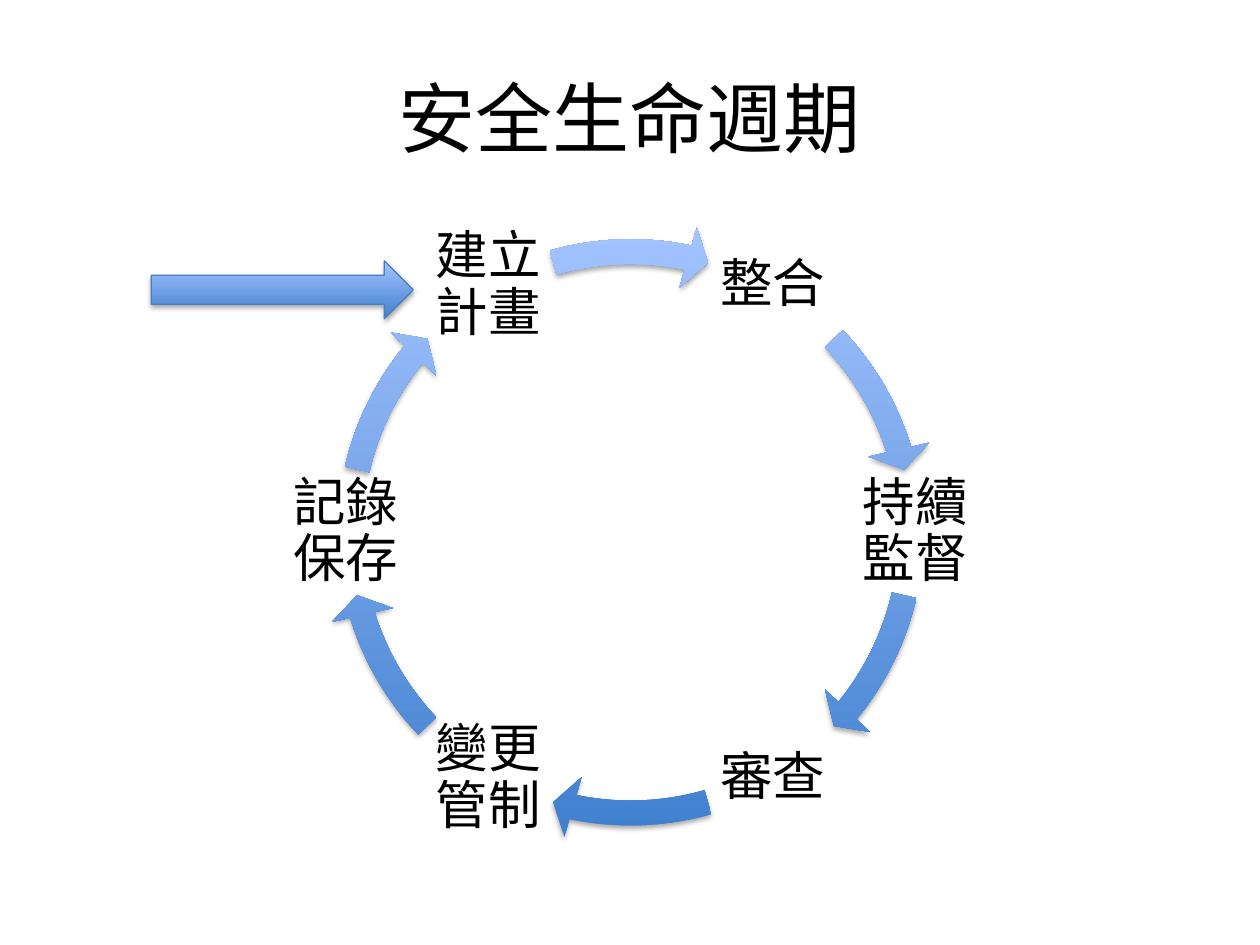
from math import cos, radians, sin

from lxml.etree import SubElement
from pptx import Presentation
from pptx.dml.color import RGBColor
from pptx.enum.shapes import MSO_SHAPE
from pptx.enum.text import MSO_ANCHOR, PP_ALIGN
from pptx.oxml.ns import qn
from pptx.util import Inches, Pt

BLACK = RGBColor(0x00, 0x00, 0x00)
DARK_BLUE = RGBColor(0x3F, 0x7F, 0xCE)
LIGHT_BLUE = RGBColor(0xA4, 0xC4, 0xFF)
OUTLINE_BLUE = RGBColor(0x4B, 0x7E, 0xBC)

STAGES = ["整合", "持續監督", "審查", "變更管制", "記錄保存", "建立計畫"]
# Start and end angles in degrees; the other half of the ring is the same turned by 180.
HALF_RING_SPANS = [(316.41, 342.87), (12.96, 39.42), (73.99, 101.83)]
ADJUSTMENTS_PER_DEGREE = 0.6  # 60000 units a degree, 100000 units to 1.0


def add_text(slide, text, box, size, margin, line_spacing):
    shape = slide.shapes.add_textbox(*map(Inches, box))
    frame = shape.text_frame
    frame_format = {"word_wrap": True, "vertical_anchor": MSO_ANCHOR.MIDDLE}
    for side in ("left", "top", "right", "bottom"):
        frame_format[f"margin_{side}"] = Inches(margin)
    for name, value in frame_format.items():
        setattr(frame, name, value)
    paragraph = frame.paragraphs[0]
    paragraph.alignment = PP_ALIGN.CENTER
    paragraph.line_spacing = line_spacing
    run = paragraph.add_run()
    run.text = text
    for name, value in {"name": "Calibri", "size": Pt(size)}.items():
        setattr(run.font, name, value)
    run.font.color.rgb = BLACK


def add_shadow(shape):
    shape.shadow.inherit = False
    effects = shape.element.spPr.find(qn("a:effectLst"))
    shadow = SubElement(effects, qn("a:outerShdw"), blurRad=str(Pt(3.1)),
                        dist=str(Pt(1.8)), dir="5400000", rotWithShape="0")
    color = SubElement(shadow, qn("a:srgbClr"), val=str(BLACK))
    SubElement(color, qn("a:alpha"), val="35000")


def add_blue_arrow(slide, kind, box):
    """Add a borderless arrow shaded from dark at the bottom to light at the top."""
    arrow = slide.shapes.add_shape(kind, *map(Inches, box))
    arrow.fill.gradient()
    arrow.fill.gradient_angle = 90
    for stop, color in zip(arrow.fill.gradient_stops, (DARK_BLUE, LIGHT_BLUE)):
        stop.color.rgb = color
    arrow.line.fill.background()
    add_shadow(arrow)
    return arrow


def add_cycle(slide, box):
    """Place the stages every 60 degrees, each followed by an arrow to the next."""
    left, top, width, height = box
    radius, node_size = 2.26, 1.01
    for index, stage in enumerate(STAGES):
        angle = radians(60 * index - 60)
        node_left = left + width / 2 + radius * cos(angle) - node_size / 2
        node_top = top + height / 2 + radius * sin(angle) - node_size / 2
        add_text(slide, stage, (node_left, node_top, node_size, node_size), 30, 0.04, 0.9)

        half, position = divmod(index, len(HALF_RING_SPANS))
        start, end = [(degrees + 180 * half) % 360 * ADJUSTMENTS_PER_DEGREE
                      for degrees in HALF_RING_SPANS[position]]
        arrow = add_blue_arrow(slide, MSO_SHAPE.CIRCULAR_ARROW, box)
        for number, value in enumerate((0.04, 2.51, end, start, 0.05)):
            arrow.adjustments[number] = value


def add_entry_arrow(slide, box):
    arrow = add_blue_arrow(slide, MSO_SHAPE.RIGHT_ARROW, box)
    arrow.line.color.rgb = OUTLINE_BLUE
    arrow.line.width = Pt(0.75)


def main():
    presentation = Presentation()
    presentation.slide_width = Inches(10)
    presentation.slide_height = Inches(7.5)
    slide = presentation.slides.add_slide(presentation.slide_layouts[6])
    add_text(slide, "安全生命週期", (0.5, 0.3, 9, 1.25), 44, 0.05, 1.0)
    add_cycle(slide, (2.53, 1.75, 4.95, 4.95))
    add_entry_arrow(slide, (1.2, 2.07, 2.08, 0.46))
    presentation.save("out.pptx")


if __name__ == "__main__":
    main()
